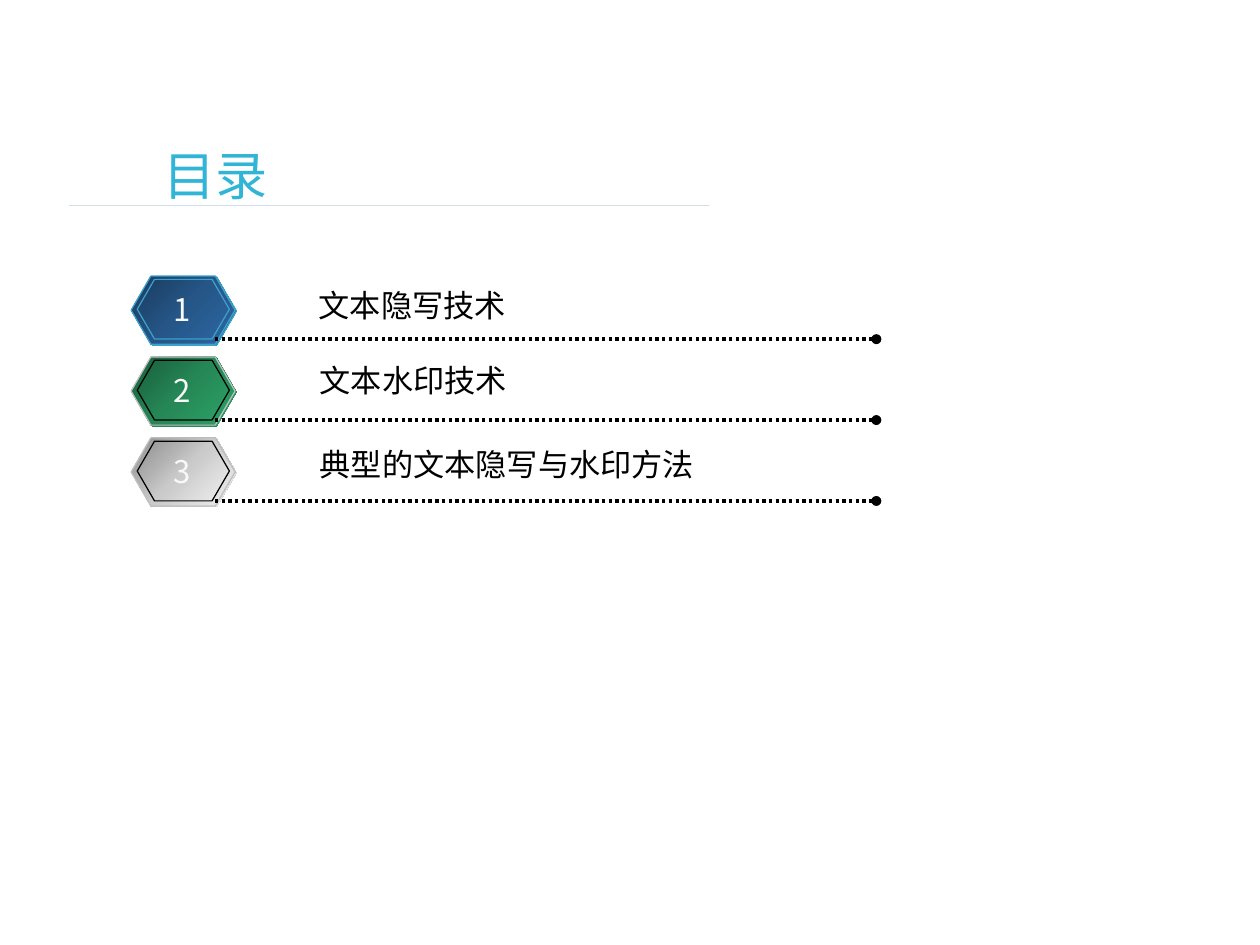
from dataclasses import dataclass
from copy import deepcopy
from typing import Any, Optional
from lxml.etree import SubElement
from pptx import Presentation
from pptx.dml.color import RGBColor
from pptx.enum.dml import MSO_LINE
from pptx.enum.shapes import MSO_CONNECTOR, MSO_SHAPE
from pptx.enum.text import MSO_ANCHOR, MSO_AUTO_SIZE, PP_ALIGN
from pptx.oxml.ns import qn
from pptx.util import Cm, Pt

FACE = "Noto Sans CJK SC"
BLACK = "000000"
PITCH = 1.72
FRAME = {
    "margin_left": Cm(0.2), "margin_right": Cm(0.2),
    "margin_top": Cm(0.1), "margin_bottom": Cm(0.1),
    "vertical_anchor": MSO_ANCHOR.TOP,
    "auto_size": MSO_AUTO_SIZE.SHAPE_TO_FIT_TEXT,
}


@dataclass
class Box:
    left: float
    top: float
    width: float
    height: float

    def down(self, step: float) -> "Box":
        return Box(self.left, self.top + step, self.width, self.height)

    def sizes(self) -> list[Cm]:
        return [Cm(n) for n in (self.left, self.top, self.width, self.height)]


@dataclass
class Entry:
    label: str
    place: Box
    shades: list[str]
    edges: list[Optional[str]]


LAYERS = [Box(2.82, 5.89, 2.21, 1.45), Box(2.79, 5.87, 2.21, 1.45),
          Box(2.92, 5.94, 1.96, 1.27)]
NUMBER = Box(3.48, 6.07, 0.79, 1.02)
ENTRIES = [
    Entry("文本隐写技术", Box(6.58, 5.99, 4.42, 1.02),
          ["1A3C5F", "255687", "2B66A1"], ["3DA2CB"] * 3),
    Entry("文本水印技术", Box(6.6, 7.59, 4.42, 1.02),
          ["1A5F3C", "258756", "2BA166"], [None, "C0C0C0", BLACK]),
    Entry("典型的文本隐写与水印方法", Box(6.6, 9.37, 8.43, 1.02),
          ["8F8E8E", "CBCACA", "F1F0F0"], [None, "C0C0C0", BLACK]),
]


def tint(code: str) -> RGBColor:
    return RGBColor.from_string(code)


def apply(item: Any, form: dict[str, Any]) -> None:
    for name, value in form.items():
        setattr(item, name, value)


def write(slide: Any, box: Box, text: str, size: float, hue: str,
          wrap: bool = False, align: PP_ALIGN = PP_ALIGN.LEFT) -> None:
    frame = slide.shapes.add_textbox(*box.sizes()).text_frame
    apply(frame, FRAME | {"word_wrap": wrap})
    para = frame.paragraphs[0]
    para.alignment = align
    run = para.add_run()
    run.text = text
    apply(run.font, {"name": FACE, "size": Pt(size)})
    run.font.color.rgb = tint(hue)
    SubElement(run.font._element, qn("a:ea"), typeface=FACE)


def rule(slide: Any, left: float, right: float, top: float,
         hue: str, form: dict[str, Any]) -> Any:
    link = slide.shapes.add_connector(
        MSO_CONNECTOR.STRAIGHT, Cm(left), Cm(top), Cm(right), Cm(top))
    link.line.color.rgb = tint(hue)
    apply(link.line, form)
    SubElement(link._element.spPr, qn("a:effectLst"))
    return link.line._ln


def hexagon(slide: Any, box: Box, shades: list[str],
            edge: Optional[str]) -> None:
    shape = slide.shapes.add_shape(MSO_SHAPE.HEXAGON, *box.sizes())
    shape.shadow.inherit = False
    shape.adjustments[0] = 0.289
    shape.fill.gradient()
    shape.fill.gradient_angle = 315
    first = next(shape._element.spPr.iter(qn("a:gs")))
    first.addnext(deepcopy(first))
    for index, (stop, shade) in enumerate(
            zip(shape.fill.gradient_stops, shades)):
        stop.color.rgb = tint(shade)
        stop.position = index / 2
    if edge:
        shape.line.color.rgb = tint(edge)
        shape.line.width = Pt(0.75)
    else:
        shape.line.fill.background()


def main() -> None:
    deck = Presentation()
    apply(deck, {"slide_width": Cm(26.8), "slide_height": Cm(20.09)})
    slide = deck.slides.add_slide(deck.slide_layouts[6])
    write(slide, Box(3.28, 2.95, 17.07, 1.55), "目录", 31.5, "31B5D6", True)
    line = rule(slide, 1.47, 15.09, 4.37, "4A7EBB", {"width": Pt(0.5)})
    SubElement(next(line.iter(qn("a:srgbClr"))), qn("a:alpha"), val="25000")
    for index, entry in enumerate(ENTRIES):
        step = index * PITCH
        for layer, edge in zip(LAYERS, entry.edges):
            hexagon(slide, layer.down(step), entry.shades, edge)
        dots = rule(slide, 4.57, 18.64, 7.21 + step, BLACK,
                    {"width": Pt(2), "dash_style": MSO_LINE.ROUND_DOT})
        SubElement(dots, qn("a:tailEnd"), type="oval")
        write(slide, entry.place, entry.label, 18.8, BLACK)
        write(slide, NUMBER.down(step), str(index + 1), 18.8, "F8F8F8",
              align=PP_ALIGN.CENTER)
    deck.save("out.pptx")


main()
